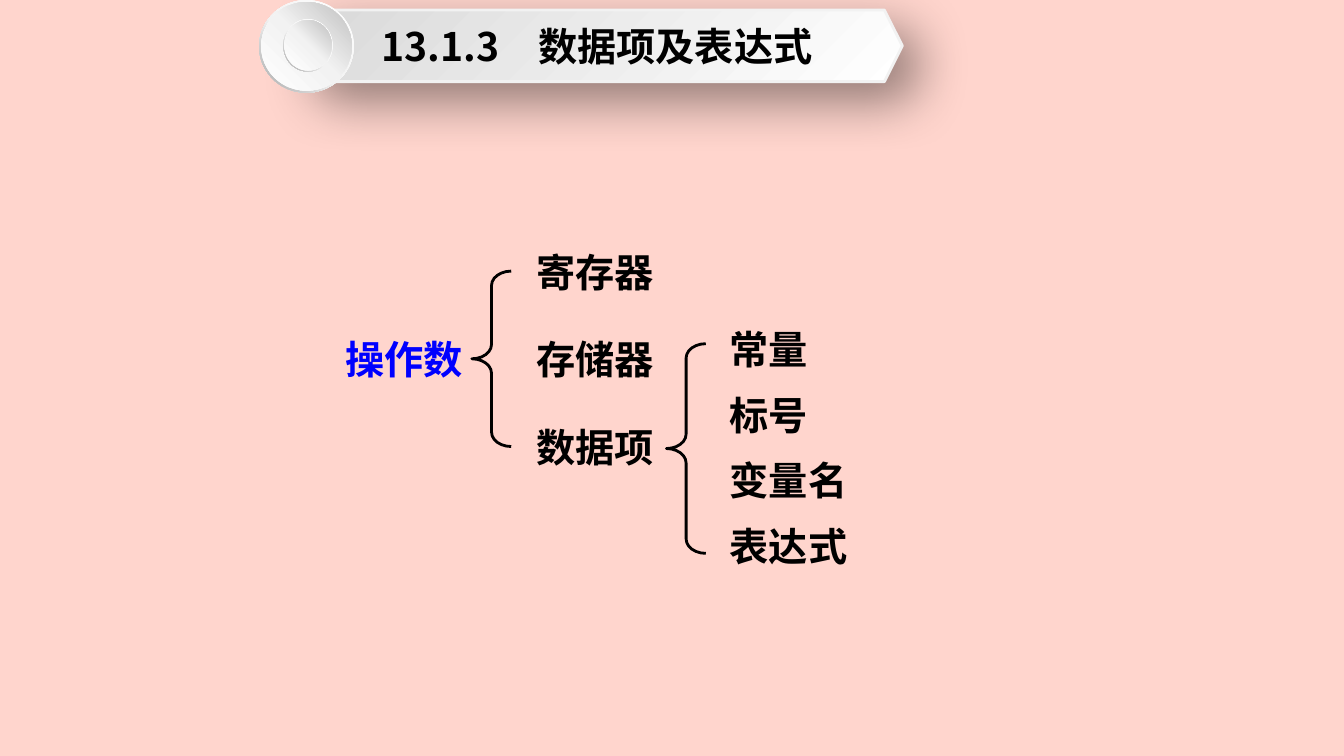
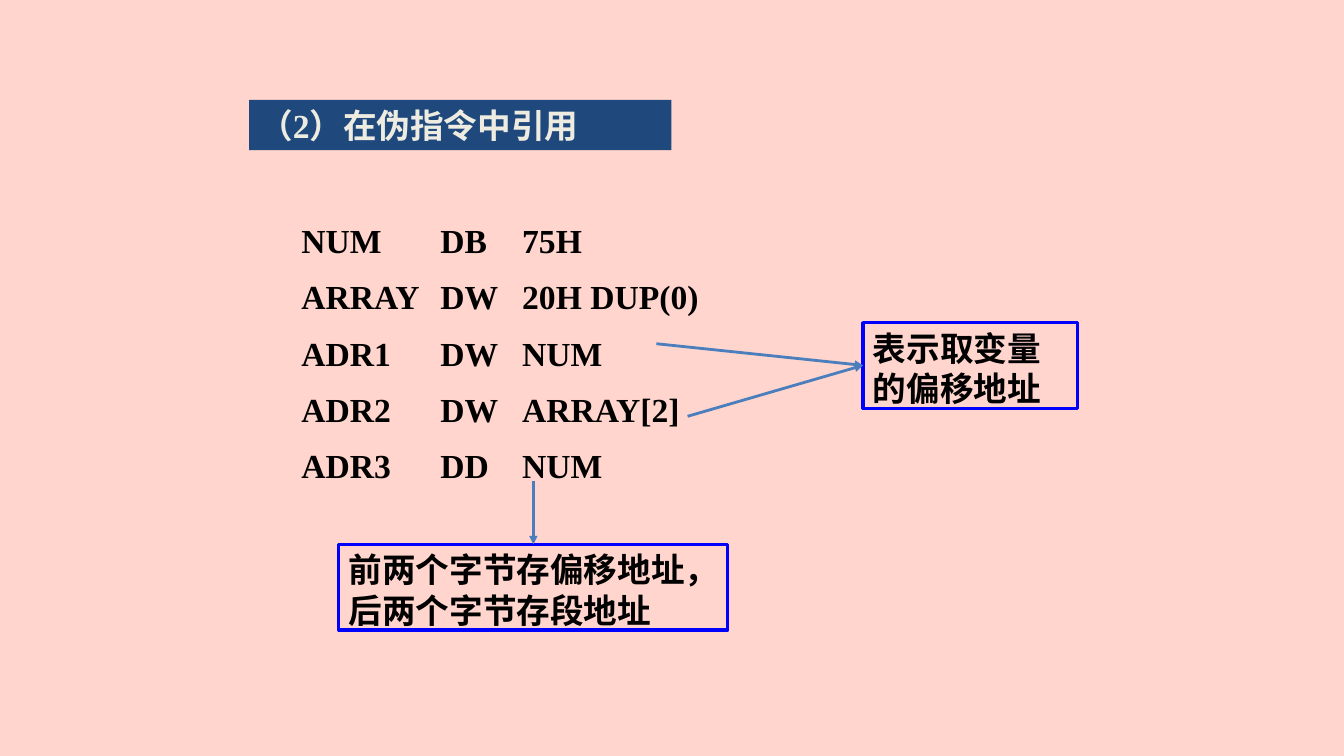
import pptx
import pptx.util
import pptx.dml.color
import pptx.enum.shapes
import pptx.enum.text
import pptx.oxml
import pptx.oxml.ns

Inches = pptx.util.Inches
Pt = pptx.util.Pt
Kind = pptx.enum.shapes.MSO_SHAPE
Align = pptx.enum.text.PP_ALIGN
Anchor = pptx.enum.text.MSO_ANCHOR
qn = pptx.oxml.ns.qn

SANS = "Noto Sans CJK SC"
SERIF = "Times New Roman"
BLACK = "000000"
BLUE = "0000FF"
NAVY = "1F497D"
CREAM = "EEECE1"
STEEL = "4B7EBC"
PINK = "FFD5CD"
PALE = "F2F2F2"
RIM = [(0, "FFFFFF"), (55, PALE), (100, "A6A6A6")]
DISC = [(0, "FFFFFF"), (51, PALE), (100, "BFBFBF")]


def color(text):
    return pptx.dml.color.RGBColor.from_string(text)


def apply(item, values):
    for name, value in values.items():
        setattr(item, name, value)


def node(text):
    space = pptx.oxml.ns.nsdecls("a")
    return pptx.oxml.parse_xml(text.replace(">", f" {space}>", 1))


class Deck:
    def __init__(self):
        self.file = pptx.Presentation()
        apply(self.file, {"slide_width": Inches(13.33), "slide_height": Inches(7.5)})
        back = self.file.slide_master.background.fill
        back.solid()
        back.fore_color.rgb = color(PINK)
        self.slide = None

    def page(self):
        self.slide = self.file.slides.add_slide(self.file.slide_layouts[5])

    def letter(self, shape, lines, size, face, ink=BLACK, wrap=True, align=Align.LEFT,
               anchor=Anchor.TOP, space=1, tabs=()):
        frame = shape.text_frame
        apply(frame, {"word_wrap": wrap, "vertical_anchor": anchor,
                      "auto_size": pptx.enum.text.MSO_AUTO_SIZE.NONE})
        for i, line in enumerate(lines):
            para = frame.add_paragraph() if i else frame.paragraphs[0]
            apply(para, {"alignment": align, "line_spacing": space})
            if tabs:
                stops = "".join(f'<a:tab pos="{Inches(x)}" algn="l"/>' for x in tabs)
                para._p.get_or_add_pPr().append(node(f"<a:tabLst>{stops}</a:tabLst>"))
            run = para.add_run()
            run.text = line
            apply(run.font, {"size": Pt(size), "bold": True, "name": face})
            run.font.color.rgb = color(ink)
            east = node("<a:ea></a:ea>")
            east.set("typeface", SANS)
            run.font._element.append(east)

    def title(self, text, box, size, face, ink, fill=None, **style):
        shape = self.slide.shapes.title
        apply(shape, dict(zip(("left", "top", "width", "height"), map(Inches, box))))
        if fill:
            shape.fill.solid()
            shape.fill.fore_color.rgb = color(fill)
        self.letter(shape, [text], size, face, ink, anchor=Anchor.MIDDLE, **style)
        shape.element.getparent().append(shape.element)

    def shape(self, kind, box, line=None, width=2, adjust=()):
        shape = self.slide.shapes.add_shape(kind, *map(Inches, box))
        shape.shadow.inherit = False
        shape.fill.background()
        for i, value in enumerate(adjust):
            shape.adjustments[i] = value
        if line:
            shape.line.color.rgb = color(line)
            shape.line.width = Pt(width)
        else:
            shape.line.fill.background()
        return shape

    def blend(self, shape, stops, angle):
        marks = "".join(f'<a:gs pos="{pos * 1000}"><a:srgbClr val="{tint}"/></a:gs>'
                        for pos, tint in stops)
        old = shape.element.spPr.find(qn("a:noFill"))
        old.getparent().replace(old, node(
            f'<a:gradFill rotWithShape="1"><a:gsLst>{marks}</a:gsLst>'
            f'<a:lin ang="{angle * 60000}" scaled="0"/></a:gradFill>'))

    def banner(self, text):
        plate = (2.89, 0.1, 6.06, 0.71)
        bar = self.shape(Kind.HEXAGON, plate, PALE)
        self.blend(bar, [(0, "FFFFFF"), (100, "D9D9D9")], 225)
        bar.element.spPr.find(qn("a:effectLst")).append(node(
            f'<a:outerShdw blurRad="{Pt(38)}" dist="{Pt(19)}" dir="{45 * 60000}" '
            'algn="tl" rotWithShape="0"><a:srgbClr val="000000">'
            '<a:alpha val="42000"/></a:srgbClr></a:outerShdw>'))
        for left, top, wide, high in [(2.57, 0, 0.94, 0.92), (2.81, 0.19, 0.49, 0.52)]:
            inset = 0.02 if wide > 0.5 else 0.01
            ring = self.shape(Kind.DONUT, (left, top, wide, high), adjust=[0.049])
            self.blend(ring, RIM, 135)
            disc = self.shape(Kind.OVAL, (left + inset, top + inset,
                                          wide - 2 * inset, high - 2 * inset))
            self.blend(disc, DISC, 315)
        self.title(text, plate, 28, SANS, BLACK, align=Align.CENTER)

    def text(self, lines, box, size, face, **style):
        shape = self.slide.shapes.add_textbox(*map(Inches, box))
        self.letter(shape, lines, size, face, **style)

    def label(self, text, left, top, ink=BLACK):
        box = (left, top, 0.2 + 0.39 * len(text), 0.53)
        self.text([text], box, 28, "Calibri", ink=ink, wrap=False)

    def brace(self, *box):
        self.shape(Kind.LEFT_BRACE, box, BLACK, adjust=[0.366, 0.5])

    def note(self, text, box):
        shape = self.shape(Kind.RECTANGLE, box, BLUE, 2.25)
        self.letter(shape, [text], 24, SERIF)
        return shape

    def arrow(self, left, top, goal, side):
        kind = pptx.enum.shapes.MSO_CONNECTOR.STRAIGHT
        start = (Inches(left), Inches(top))
        link = self.slide.shapes.add_connector(kind, *start, *start)
        link.end_connect(goal, side)
        link.line.color.rgb = color(STEEL)
        link.line.width = Pt(2)
        form = link.element.spPr
        form.find(qn("a:ln")).append(node('<a:tailEnd type="triangle"></a:tailEnd>'))
        form.append(node("<a:effectLst></a:effectLst>"))


def main():
    deck = Deck()

    deck.page()
    deck.banner("13.1.3　数据项及表达式")
    deck.label("操作数", 3.33, 3.28, BLUE)
    deck.brace(4.68, 2.69, 0.39, 1.74)
    deck.brace(6.61, 3.41, 0.39, 2.08)
    for left, top, step, names in [
        (5.22, 2.41, 0.87, ["寄存器", "存储器", "数据项"]),
        (7.14, 3.18, 0.65, ["常量", "标号", "变量名", "表达式"]),
    ]:
        for i, name in enumerate(names):
            deck.label(name, left, top + i * step)

    deck.page()
    deck.title("（2）在伪指令中引用", (2.47, 0.99, 4.19, 0.5), 24, SERIF, CREAM, NAVY)
    code = [
        "NUM\tDB\t75H",
        "ARRAY\tDW\t20H DUP(0)",
        "ADR1\tDW\tNUM",
        "ADR2\tDW\tARRAY[2]",
        "ADR3\tDD\tNUM",
    ]
    deck.text(code, (2.89, 1.97, 5.25, 2.81), 24, SERIF, space=1.4, tabs=(1.38, 2.19))
    offset = deck.note("表示取变量的偏移地址", (8.56, 3.2, 2.13, 0.85))
    deck.arrow(6.51, 3.41, offset, 1)
    deck.arrow(6.82, 4.13, offset, 1)
    pair = deck.note("前两个字节存偏移地址，后两个字节存段地址", (3.36, 5.4, 3.86, 0.85))
    deck.arrow(5.29, 4.77, pair, 0)

    deck.file.save("out.pptx")


if __name__ == "__main__":
    main()
